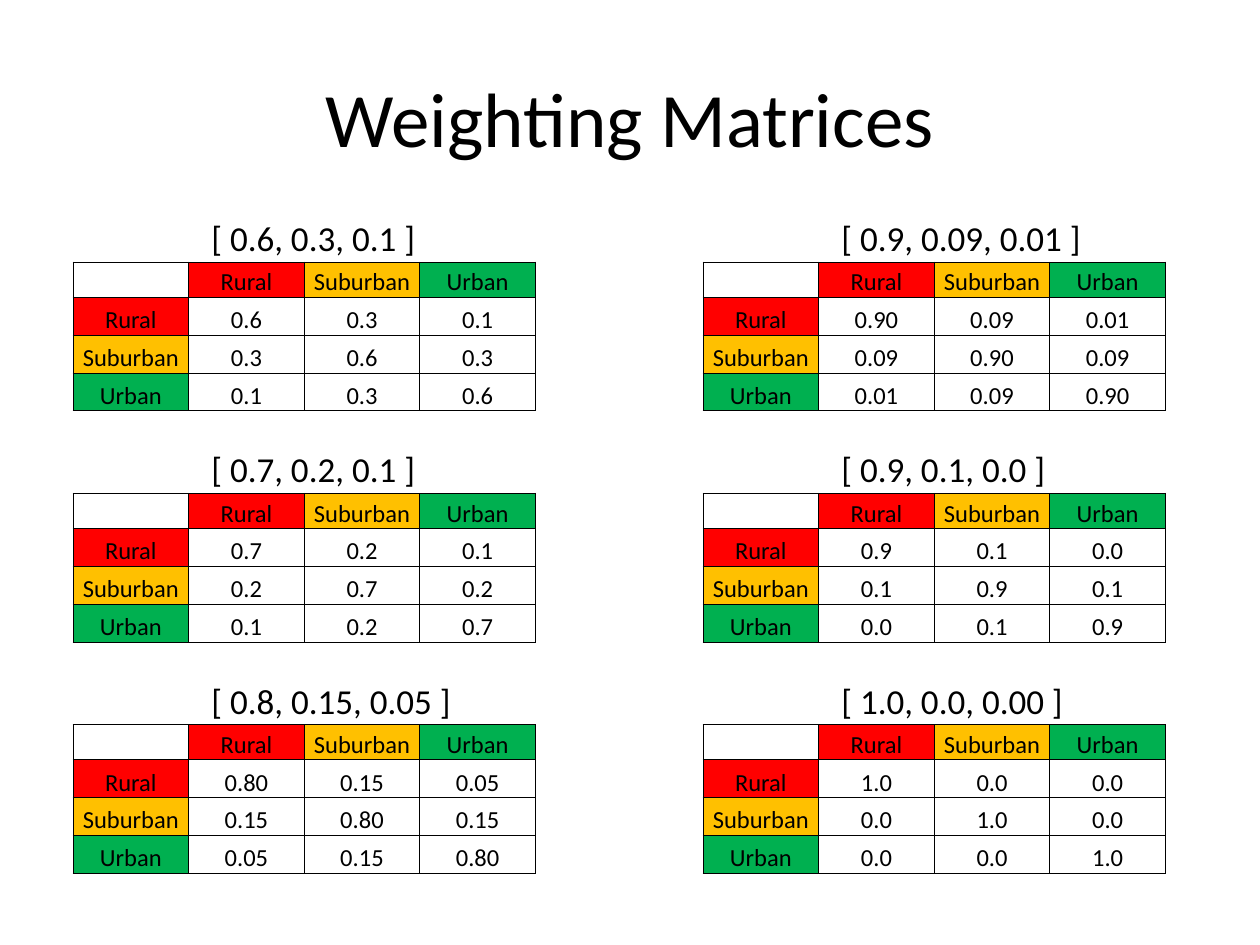
from dataclasses import dataclass

from lxml import etree
from pptx import Presentation
from pptx.dml.color import RGBColor
from pptx.enum.text import MSO_ANCHOR, MSO_AUTO_SIZE, PP_ALIGN
from pptx.oxml.ns import qn
from pptx.util import Inches, Pt


@dataclass(frozen=True)
class Theme:
    font: str = "Calibri"
    ink: str = "000000"
    rural: str = "FF0000"
    suburban: str = "FFC000"
    urban: str = "00B050"
    title_size: int = 44
    label_size: int = 20
    cell_size: int = 14
    border_width: float = 0.5


THEME = Theme()
AREAS = [("Rural", THEME.rural), ("Suburban", THEME.suburban), ("Urban", THEME.urban)]

COLUMN_LEFTS = (0.58, 5.58)
FIRST_TOP, LAST_TOP = 2.08, 5.75
ROW_PITCH = (LAST_TOP - FIRST_TOP) / 2
TABLE_WIDTH, HEADER_HEIGHT, ROW_HEIGHT = 3.67, 0.28, 0.3

# Grid column, grid row, label, weights at distance 0, 1 and 2 from the diagonal
MATRICES = [
    (0, 0, "[ 0.6, 0.3, 0.1 ]", ("0.6", "0.3", "0.1")),
    (0, 1, "[ 0.7, 0.2, 0.1 ]", ("0.7", "0.2", "0.1")),
    (0, 2, "[ 0.8, 0.15, 0.05 ]", ("0.80", "0.15", "0.05")),
    (1, 2, "[ 1.0, 0.0, 0.00 ]", ("1.0", "0.0", "0.0")),
    (1, 1, "[ 0.9, 0.1, 0.0 ]", ("0.9", "0.1", "0.0")),
    (1, 0, "[ 0.9, 0.09, 0.01 ]", ("0.90", "0.09", "0.01")),
]


def write_text(text_frame, text, size, color=THEME.ink, align=PP_ALIGN.LEFT, anchor=None):
    paragraph = text_frame.paragraphs[0]
    paragraph.alignment = align
    if anchor is not None:
        text_frame.vertical_anchor = anchor
    run = paragraph.add_run()
    run.text = text
    run.font.name = THEME.font
    run.font.size = Pt(size)
    run.font.color.rgb = RGBColor.from_string(color)


def add_borders(cell, color, width):
    properties = cell._tc.get_or_add_tcPr()
    for index, side in enumerate(("a:lnL", "a:lnR", "a:lnT", "a:lnB")):
        line = etree.Element(qn(side), w=str(Pt(width)))
        fill = etree.SubElement(line, qn("a:solidFill"))
        etree.SubElement(fill, qn("a:srgbClr"), val=color)
        properties.insert(index, line)


def shrink_empty_cell(cell, size):
    """Keep the default type size of an empty cell from stretching its row."""
    paragraph = cell.text_frame.paragraphs[0]
    etree.SubElement(paragraph._p, qn("a:endParaRPr"), sz=str(size * 100))


class SlideBuilder:
    def __init__(self, slide, theme):
        self.slide = slide
        self.theme = theme

    def title(self, text):
        title = self.slide.shapes.title
        title.left, title.top = Inches(0.5), Inches(0.3)
        title.width, title.height = Inches(9), Inches(1.25)
        write_text(title.text_frame, text, self.theme.title_size,
                   align=PP_ALIGN.CENTER, anchor=MSO_ANCHOR.MIDDLE)

    def label(self, text, left, top):
        width = 1.83 + 0.14 * (len(text) - 17)
        box = self.slide.shapes.add_textbox(
            Inches(left), Inches(top), Inches(width), Inches(0.44))
        box.text_frame.word_wrap = False
        box.text_frame.auto_size = MSO_AUTO_SIZE.SHAPE_TO_FIT_TEXT
        write_text(box.text_frame, text, self.theme.label_size)

    def cell(self, cell, text, fill=None):
        cell.margin_left = cell.margin_right = cell.margin_top = Inches(0.01)
        cell.margin_bottom = 0
        cell.vertical_anchor = MSO_ANCHOR.BOTTOM
        if fill:
            cell.fill.solid()
            cell.fill.fore_color.rgb = RGBColor.from_string(fill)
        else:
            cell.fill.background()
        add_borders(cell, self.theme.ink, self.theme.border_width)
        if text:
            write_text(cell.text_frame, text, self.theme.cell_size, align=PP_ALIGN.CENTER)
        else:
            shrink_empty_cell(cell, self.theme.cell_size)

    def matrix(self, weights, left, top):
        """Add a symmetric table whose values depend on distance from the diagonal."""
        count = len(AREAS) + 1
        height = HEADER_HEIGHT + ROW_HEIGHT * len(AREAS)
        table = self.slide.shapes.add_table(
            count, count, Inches(left), Inches(top), Inches(TABLE_WIDTH), Inches(height)).table
        table.first_row = table.horz_banding = False
        for column in table.columns:
            column.width = Inches(TABLE_WIDTH / count)
        for index, row in enumerate(table.rows):
            row.height = Inches(ROW_HEIGHT if index else HEADER_HEIGHT)

        self.cell(table.cell(0, 0), "")
        for index, (area, color) in enumerate(AREAS, start=1):
            self.cell(table.cell(0, index), area, fill=color)
            self.cell(table.cell(index, 0), area, fill=color)
            for other in range(1, count):
                self.cell(table.cell(index, other), weights[abs(index - other)])


def main():
    presentation = Presentation()
    presentation.slide_width, presentation.slide_height = Inches(10), Inches(7.5)
    slide = presentation.slides.add_slide(presentation.slide_layouts[5])
    builder = SlideBuilder(slide, THEME)
    builder.title("Weighting Matrices")
    for grid_column, grid_row, label, weights in MATRICES:
        left = COLUMN_LEFTS[grid_column]
        top = FIRST_TOP + grid_row * ROW_PITCH
        builder.matrix(weights, left, top)
        builder.label(label, left + 1, top - 0.41)
    presentation.save("out.pptx")


if __name__ == "__main__":
    main()
